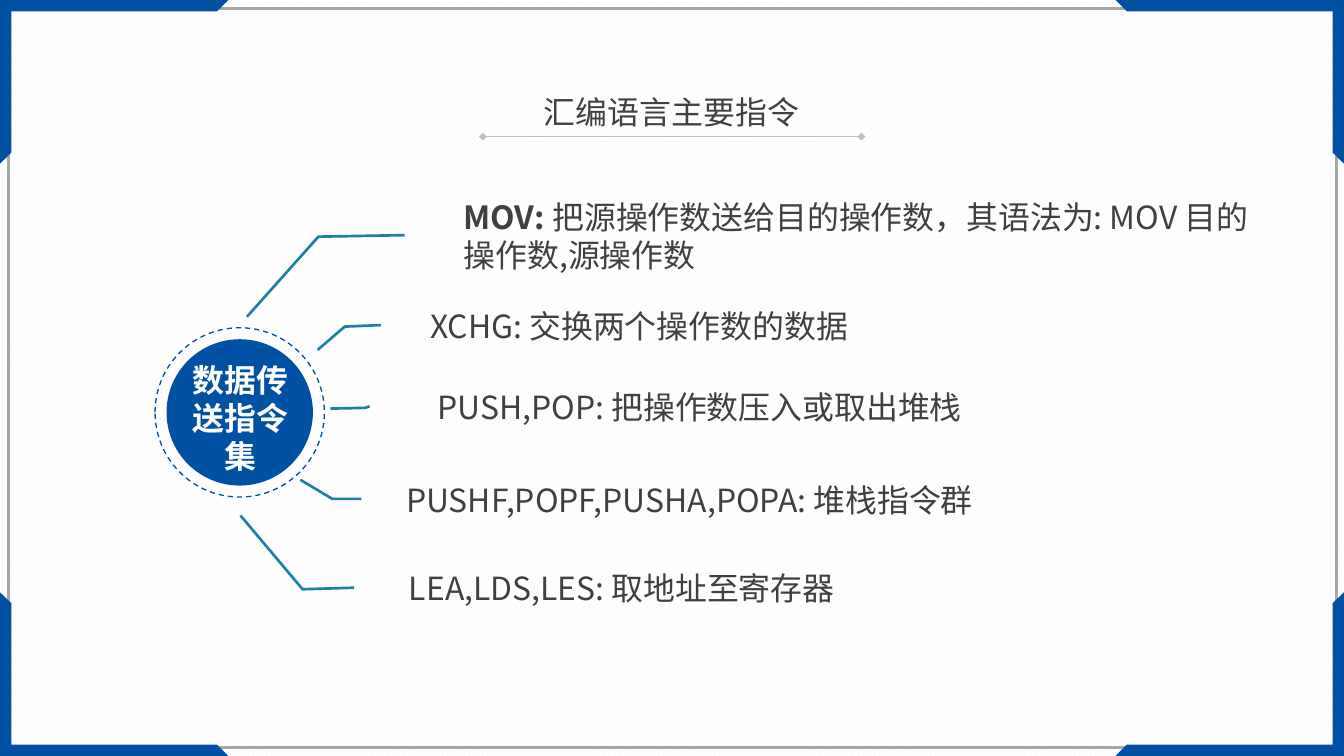
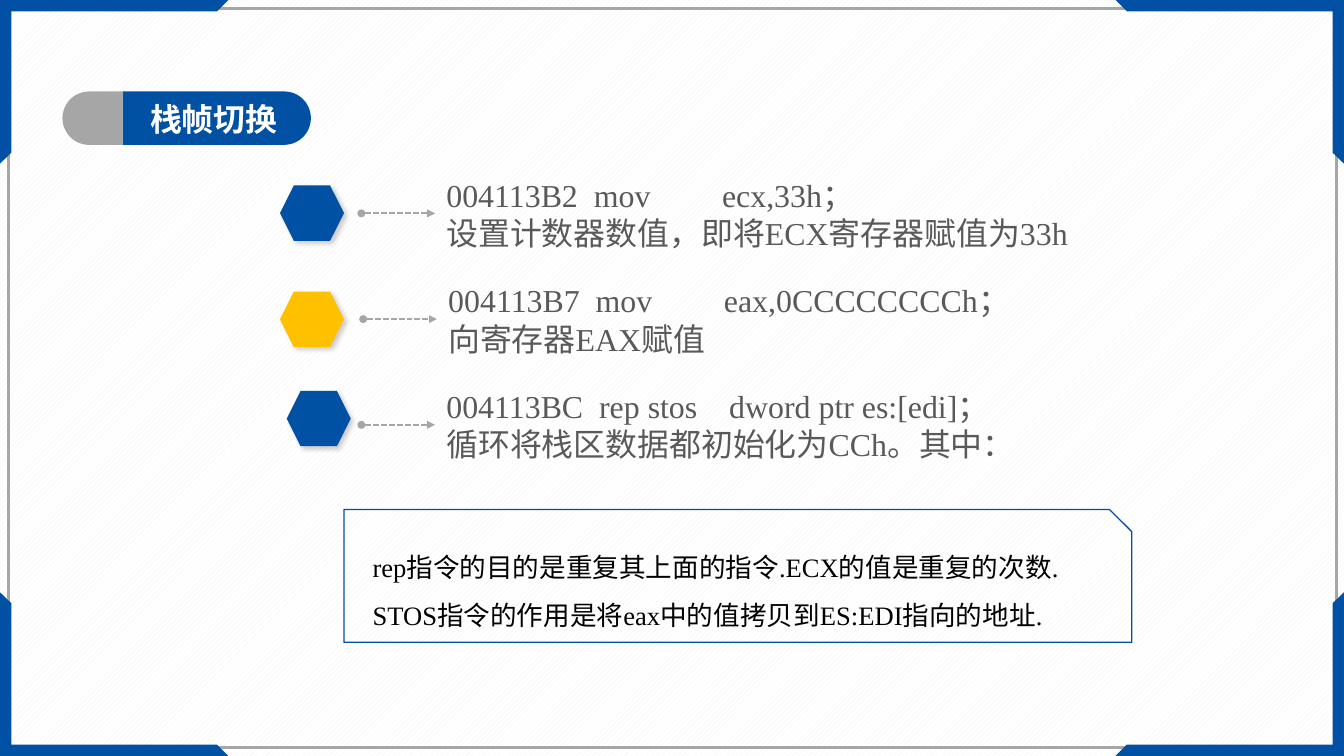
"""Build two slides on assembly instructions and stack frame switching."""
from lxml import etree
from pptx import Presentation
from pptx.dml.color import RGBColor
from pptx.enum.dml import MSO_LINE, MSO_PATTERN
from pptx.enum.shapes import MSO_CONNECTOR, MSO_SHAPE
from pptx.enum.text import MSO_ANCHOR, MSO_AUTO_SIZE, PP_ALIGN
from pptx.oxml.ns import qn
from pptx.util import Cm, Pt

LEFT, CENTER = PP_ALIGN.LEFT, PP_ALIGN.CENTER
TOP, MIDDLE = MSO_ANCHOR.TOP, MSO_ANCHOR.MIDDLE
GROW = MSO_AUTO_SIZE.SHAPE_TO_FIT_TEXT
DASH, SHORT_DASH = MSO_LINE.DASH, MSO_LINE.SQUARE_DOT
RECTANGLE, OVAL, HEXAGON = MSO_SHAPE.RECTANGLE, MSO_SHAPE.OVAL, MSO_SHAPE.HEXAGON
CALLOUT = MSO_SHAPE.LINE_CALLOUT_2_NO_BORDER
SNIPPED, ROUNDED_TOP = MSO_SHAPE.SNIP_1_RECTANGLE, MSO_SHAPE.ROUND_2_SAME_RECTANGLE
STRAIGHT, DIAGONAL = MSO_CONNECTOR.STRAIGHT, MSO_PATTERN.WIDE_UPWARD_DIAGONAL

BLUE, TEAL, YELLOW, GRAY = "0050A3", "1E7FA7", "FFC000", "A6A6A6"
WHITE, BLACK, DARK, MEDIUM = "FFFFFF", "000000", "404040", "595959"
PALE, RULE = "F2F2F2", "BFBFBF"
SANS, SERIF = "Noto Sans CJK SC", "Times New Roman"

WIDTH, HEIGHT = 35.71, 20.09
CORNER = [(0, 0), (6.07, 0), (5.77, 0.3), (0.3, 0.3), (0.3, 4.06), (0, 4.35)]

TITLE = "汇编语言主要指令"
HUB = "数据传送指令集"
HUB_CENTER = (6.37, 10.96)
CALLOUT_HEIGHT = 1.6
INSTRUCTIONS = [
    ("MOV: ", "把源操作数送给目的操作数，其语法为: MOV 目的操作数,源操作数", LEFT,
     (12.07, 5.46, 21.59), [(10.75, 6.25), (8.46, 6.29), (6.56, 8.42)]),
    ("", "XCHG: 交换两个操作数的数据", CENTER,
     (10.87, 7.85, 12.22), [(10.12, 8.64), (9.16, 8.68), (8.44, 9.3)]),
    ("", "PUSH,POP: 把操作数压入或取出堆栈 ", CENTER,
     (10.19, 10.01, 16.99), [(9.82, 10.8), (9.7, 10.84), (8.78, 10.86)]),
    ("", "PUSHF,POPF,PUSHA,POPA: 堆栈指令群 ", CENTER,
     (10.11, 12.47, 16.61), [(9.6, 13.26), (8.83, 13.26), (7.98, 12.75)]),
    ("", "LEA,LDS,LES: 取地址至寄存器 ", CENTER,
     (10.19, 14.83, 12.85), [(9.41, 15.62), (8.04, 15.66), (6.39, 13.7)]),
]

BADGE = "栈帧切换"
STEP_TOP, STEP_PITCH = 4.52, 2.81
STEPS = [
    (["004113B2  mov         ecx,33h；", "设置计数器数值，即将ECX寄存器赋值为33h"],
     11.61, 18.8, BLUE, (7.44, 4.93)),
    (["004113B7  mov         eax,0CCCCCCCCh；", "向寄存器EAX赋值"],
     11.66, 18.8, YELLOW, (7.44, 7.75)),
    (["004113BC  rep stos    dword ptr es:[edi]；", "循环将栈区数据都初始化为CCh。其中："],
     11.61, 16.92, BLUE, (7.62, 10.39)),
]
NOTES = ["rep指令的目的是重复其上面的指令.ECX的值是重复的次数.",
         "STOS指令的作用是将eax中的值拷贝到ES:EDI指向的地址."]


def color(value):
    """Turn a hex string into a colour."""
    return RGBColor.from_string(value)


def paint(shape, fill=None, line=None, width=1, dash=None):
    """Set fill, outline and lack of shadow."""
    shape.shadow.inherit = False
    if fill:
        shape.fill.solid()
        shape.fill.fore_color.rgb = color(fill)
    else:
        shape.fill.background()
    if line:
        shape.line.color.rgb = color(line)
        shape.line.width = Pt(width)
        if dash:
            shape.line.dash_style = dash
    else:
        shape.line.fill.background()


def add_shape(slide, kind, box, **look):
    """Add a painted preset shape in a box of centimetres."""
    shape = slide.shapes.add_shape(kind, *map(Cm, box))
    paint(shape, **look)
    return shape


def add_run(paragraph, text, font, size, ink, bold):
    """Append one formatted run."""
    run = paragraph.add_run()
    run.text = text
    run.font.name, run.font.size, run.font.bold = font, Pt(size), bold
    run.font.color.rgb = color(ink)
    etree.SubElement(run.font._element, qn("a:ea"), typeface=SANS)


def write(shape, lines, font, ink, size=24, bold=False, lead="",
          align=LEFT, anchor=TOP, spacing=None):
    """Fill a shape with lines, the first after an optional bold lead."""
    frame = shape.text_frame
    frame.word_wrap = True
    frame.vertical_anchor = anchor
    for index, line in enumerate(lines):
        paragraph = frame.add_paragraph() if index else frame.paragraphs[0]
        paragraph.alignment = align
        if spacing:
            paragraph.line_spacing = spacing
        if lead and not index:
            add_run(paragraph, lead, font, size, ink, True)
        add_run(paragraph, line, font, size, ink, bold)


def add_text(slide, box, lines, font, ink, **style):
    """Add a text box that grows with its text."""
    shape = slide.shapes.add_textbox(*map(Cm, box))
    write(shape, lines, font, ink, **style)
    shape.text_frame.auto_size = GROW
    return shape


def add_line(slide, start, end, ink, width, head, tail, dash=None):
    """Add a straight line with a mark at each end."""
    connector = slide.shapes.add_connector(STRAIGHT, *map(Cm, start + end))
    connector.line.color.rgb = color(ink)
    connector.line.width = Pt(width)
    if dash:
        connector.line.dash_style = dash
    properties = connector.element.spPr
    outline = properties.find(qn("a:ln"))
    etree.SubElement(outline, qn("a:headEnd"), type=head)
    etree.SubElement(outline, qn("a:tailEnd"), type=tail)
    etree.SubElement(properties, qn("a:effectLst"))


def add_shadow(shape):
    """Give a shape a soft shadow to the lower right."""
    effects = shape.element.spPr.find(qn("a:effectLst"))
    shadow = etree.SubElement(effects, qn("a:outerShdw"), blurRad=str(Pt(4)),
                              dist=str(Pt(3)), dir="2700000", algn="tl", rotWithShape="0")
    ink = etree.SubElement(shadow, qn("a:srgbClr"), val=BLACK)
    etree.SubElement(ink, qn("a:alpha"), val="20000")


def build_frame(slide, layout):
    """Draw the border and its four corners and hand them to the layout."""
    parts = [add_shape(slide, RECTANGLE, (0.23, 0.23, 35.28, 19.63), line=GRAY, width=2)]
    for right in (False, True):
        for bottom in (False, True):
            points = [(Cm(WIDTH - x if right else x), Cm(HEIGHT - y if bottom else y))
                      for x, y in CORNER]
            builder = slide.shapes.build_freeform(*points[0])
            builder.add_line_segments(points[1:], close=True)
            corner = builder.convert_to_shape()
            paint(corner, fill=BLUE)
            parts.append(corner)
    for placeholder in list(layout.placeholders):
        layout.shapes.element.remove(placeholder.element)
    for part in parts:
        layout.shapes.element.append(part.element)


def add_disc(slide, diameter, **look):
    """Add a circle around the hub centre."""
    x, y = HUB_CENTER
    add_shape(slide, OVAL, (x - diameter / 2, y - diameter / 2, diameter, diameter), **look)


def build_instructions(slide):
    """Draw the title, the hub and its callouts."""
    add_line(slide, (12.83, 3.63), (22.89, 3.63), RULE, 0.5, "diamond", "diamond")
    title = add_text(slide, (14.17, 2.34, 7.34, 1.27), [TITLE], SANS, DARK, align=CENTER)
    title.text_frame.word_wrap = False
    add_disc(slide, 4.5, line=BLUE, dash=DASH)
    add_disc(slide, 3.89, fill=BLUE)
    add_text(slide, (4.65, 9.45, 3.48, 3.33), [HUB], SANS, WHITE, bold=True, align=CENTER)
    for lead, text, align, (left, top, width), points in INSTRUCTIONS:
        callout = add_shape(slide, CALLOUT, (left, top, width, CALLOUT_HEIGHT),
                            line=TEAL, width=2)
        for index, (x, y) in enumerate(points):
            callout.adjustments[2 * index] = (y - top) / CALLOUT_HEIGHT
            callout.adjustments[2 * index + 1] = (x - left) / width
        write(callout, [text], SANS, DARK, lead=lead, align=align, anchor=MIDDLE)


def add_badge_end(slide, left, top, width, height, rotation, fill):
    """Add a bar with one rounded end, turned on its side."""
    shift = (width - height) / 2
    end = add_shape(slide, ROUNDED_TOP, (left + shift, top - shift, height, width), fill=fill)
    end.adjustments[0], end.adjustments[1] = 0.5, 0
    end.rotation = rotation


def build_stack_frame(slide):
    """Draw the badge, the three steps and the note."""
    add_shape(slide, SNIPPED, (9.14, 13.54, 20.93, 3.53), line=BLUE)
    add_text(slide, (9.65, 14.1, 20.4, 2.67), NOTES, SERIF, BLACK, size=20, spacing=1.5)
    add_badge_end(slide, 3.26, 2.43, 5, 1.42, 90, BLUE)
    add_badge_end(slide, 1.66, 2.43, 1.6, 1.42, 270, GRAY)
    badge = add_text(slide, (3.61, 2.44, 10.64, 1.42), [BADGE], SERIF, WHITE, bold=True)
    frame = badge.text_frame
    frame.margin_left = frame.margin_right = Cm(0.38)
    frame.margin_top = frame.margin_bottom = Cm(0.2)
    for index, (lines, left, width, fill, corner) in enumerate(STEPS):
        top = STEP_TOP + index * STEP_PITCH
        middle = top + 1.15
        add_shadow(add_shape(slide, HEXAGON, corner + (1.7, 1.47), fill=fill))
        add_text(slide, (left, top, width, 2.31), lines, SERIF, MEDIUM, anchor=MIDDLE)
        add_line(slide, (left - 2.01, middle), (left - 0.05, middle), GRAY, 1.5,
                 "oval", "triangle", SHORT_DASH)


def main():
    """Build and save the presentation."""
    presentation = Presentation()
    presentation.slide_width, presentation.slide_height = Cm(WIDTH), Cm(HEIGHT)
    background = presentation.slide_master.background.fill
    background.patterned()
    background.pattern = DIAGONAL
    background.fore_color.rgb, background.back_color.rgb = color(PALE), color(WHITE)
    layout = presentation.slide_layouts[6]
    slides = [presentation.slides.add_slide(layout) for _ in range(2)]
    for slide in slides:
        for placeholder in list(slide.placeholders):
            slide.shapes.element.remove(placeholder.element)
    build_frame(slides[0], layout)
    build_instructions(slides[0])
    build_stack_frame(slides[1])
    presentation.save("out.pptx")


if __name__ == "__main__":
    main()
